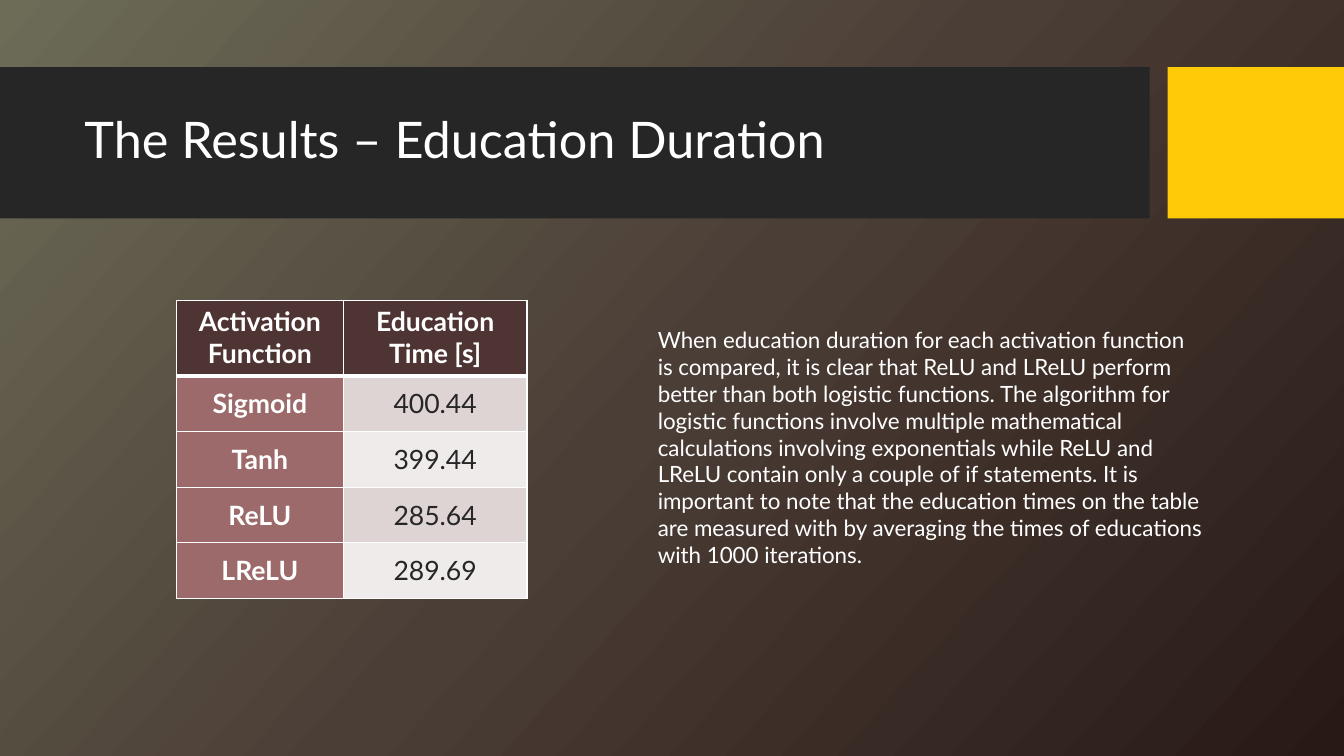
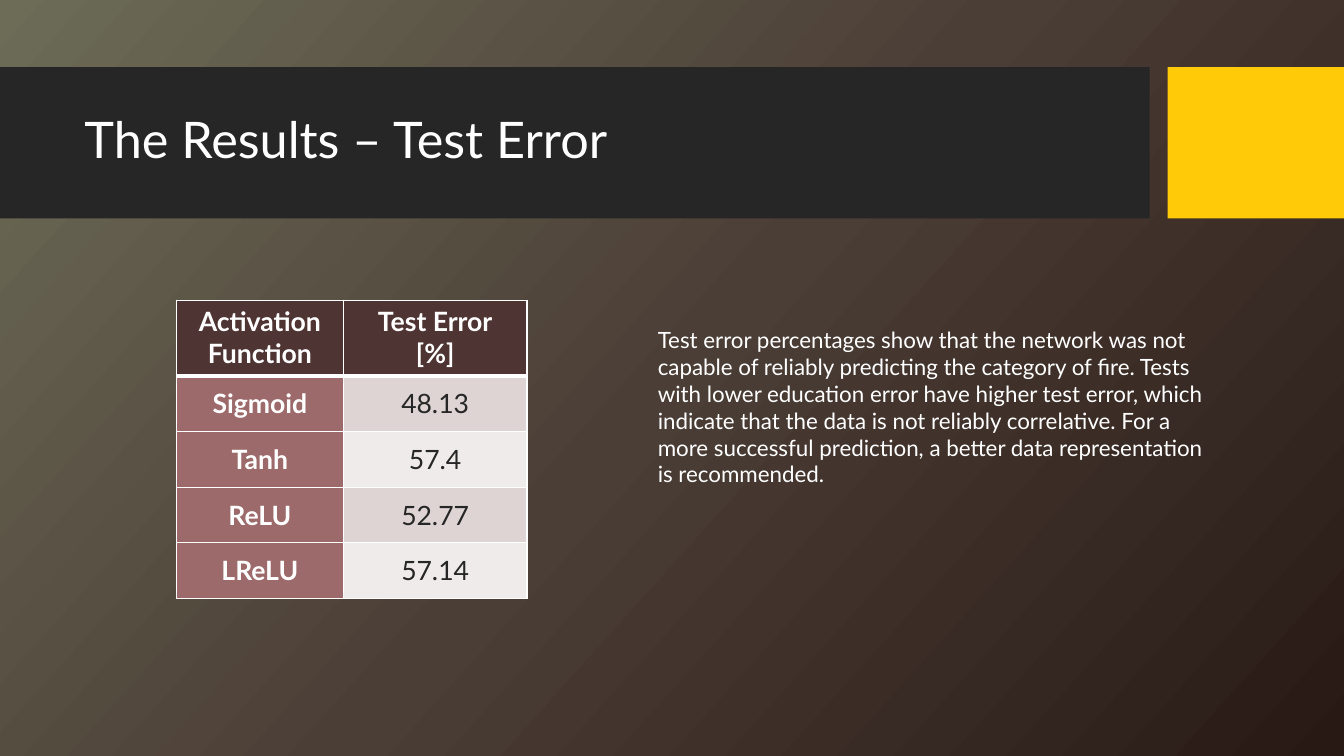
"""Builds two slides of training results, each with a banner, a table and a remark."""
from copy import deepcopy
from dataclasses import dataclass

from pptx import Presentation, util as u
from pptx.dml.color import RGBColor
from pptx.enum import shapes, text as t
from pptx.oxml import parse_xml
from pptx.oxml.ns import nsdecls

PX = 9525
FONT = "Lato"
INK = {
    "white": "FFFFFF", "dark": "262626", "gold": "FFCA08",
    "head": "4F3434", "name": "9C6A6A", "odd": "DED4D4", "even": "EFEBEB",
}
GLOW = {0: "6C6C57", 0.5: "4B3E36", 1: "281915"}
NAMES = ("Sigmoid", "Tanh", "ReLU", "LReLU")
COLS = (159, 175)
ROWS = (72, 53, 53, 53, 53)


@dataclass(frozen=True)
class Box:
    x: int
    y: int
    w: int
    h: int

    def emu(self) -> tuple[int, ...]:
        return tuple(n * PX for n in (self.x, self.y, self.w, self.h))


@dataclass(frozen=True)
class Band:
    box: Box
    ink: str


@dataclass(frozen=True)
class Page:
    title: str
    head: str
    vals: tuple[str, ...]
    note: str
    tall: int


BANDS = (Band(Box(0, 64, 1095, 144), "dark"), Band(Box(1112, 64, 168, 144), "gold"))
TITLE = Box(71, 79, 1009, 113)
TABLE = Box(168, 286, sum(COLS), sum(ROWS))

PAGES = (
    Page(
        "The Results – Education Duration",
        "Education Time [s]",
        ("400.44", "399.44", "285.64", "289.69"),
        "When education duration for each activation function is compared, it is clear "
        "that ReLU and LReLU perform better than both logistic functions. The algorithm "
        "for logistic functions involve multiple mathematical calculations involving "
        "exponentials while ReLU and LReLU contain only a couple of if statements. It is "
        "important to note that the education times on the table are measured with by "
        "averaging the times of educations with 1000 iterations.",
        242,
    ),
    Page(
        "The Results – Test Error",
        "Test Error\n[%]",
        ("48.13", "57.4", "52.77", "57.14"),
        "Test error percentages show that the network was not capable of reliably "
        "predicting the category of fire. Tests with lower education error have higher "
        "test error, which indicate that the data is not reliably correlative. For a more "
        "successful prediction, a better data representation is recommended.",
        165,
    ),
)


def rgb(ink: str) -> RGBColor:
    return RGBColor.from_string(INK.get(ink, ink))


def write(frame, words: str, *, size: int, ink: str = "white", bold: bool = False,
          align=t.PP_ALIGN.LEFT, space: float = 1.0) -> None:
    frame.word_wrap = True
    frame.text = words
    for para in frame.paragraphs:
        para.alignment = align
        para.line_spacing = space
        font = para.runs[0].font
        font.name, font.size, font.bold = FONT, u.Pt(size), bold
        font.color.rgb = rgb(ink)


def label(slide, box: Box, words: str, anchor=t.MSO_ANCHOR.TOP, **style) -> None:
    frame = slide.shapes.add_textbox(*box.emu()).text_frame
    frame.vertical_anchor = anchor
    write(frame, words, **style)


def paint(master) -> None:
    fill = master.background.fill
    fill.gradient()
    fill.gradient_angle = 360 - 42
    stops = master.element.xpath(".//p:bg//a:gsLst")[0]
    stops.insert(1, deepcopy(stops[0]))
    for stop, (place, ink) in zip(fill.gradient_stops, GLOW.items()):
        stop.position = place
        stop.color.rgb = rgb(ink)


def edge(cell, row: int) -> None:
    wide = {"L": 1, "R": 1, "T": 3 if row == 1 else 1, "B": 3 if row == 0 else 1}
    props = cell._tc.get_or_add_tcPr()
    for spot, (side, width) in enumerate(wide.items()):
        props.insert(spot, parse_xml(
            f'<a:ln{side} {nsdecls("a")} w="{u.Pt(width)}"><a:solidFill>'
            f'<a:srgbClr val="{INK["white"]}"/></a:solidFill></a:ln{side}>'))


def grid(slide, page: Page) -> None:
    data = (("Activation Function", page.head), *zip(NAMES, page.vals))
    table = slide.shapes.add_table(len(ROWS), len(COLS), *TABLE.emu()).table
    for col, wide in zip(table.columns, COLS):
        col.width = wide * PX
    for r, (line, tall) in enumerate(zip(data, ROWS)):
        table.rows[r].height = tall * PX
        for c, words in enumerate(line):
            cell = table.cell(r, c)
            value = r > 0 and c > 0
            shade = "head" if r == 0 else "name" if c == 0 else "odd" if r % 2 else "even"
            cell.fill.solid()
            cell.fill.fore_color.rgb = rgb(shade)
            cell.vertical_anchor = t.MSO_ANCHOR.MIDDLE if r else t.MSO_ANCHOR.TOP
            write(cell.text_frame, words, size=19, bold=not value,
                  ink="dark" if value else "white", align=t.PP_ALIGN.CENTER)
            edge(cell, r)


def band(slide, item: Band) -> None:
    shape = slide.shapes.add_shape(shapes.MSO_SHAPE.RECTANGLE, *item.box.emu())
    shape.shadow.inherit = False
    shape.fill.solid()
    shape.fill.fore_color.rgb = rgb(item.ink)
    shape.line.fill.background()


def build(deck, page: Page) -> None:
    slide = deck.slides.add_slide(deck.slide_layouts[6])
    for item in BANDS:
        band(slide, item)
    label(slide, TITLE, page.title, t.MSO_ANCHOR.MIDDLE, size=36, space=0.9)
    grid(slide, page)
    label(slide, Box(617, 306, 538, page.tall), page.note, size=16)


def main() -> None:
    deck = Presentation()
    deck.slide_width, deck.slide_height = 1280 * PX, 720 * PX
    paint(deck.slide_master)
    for page in PAGES:
        build(deck, page)
    deck.save("out.pptx")


if __name__ == "__main__":
    main()
